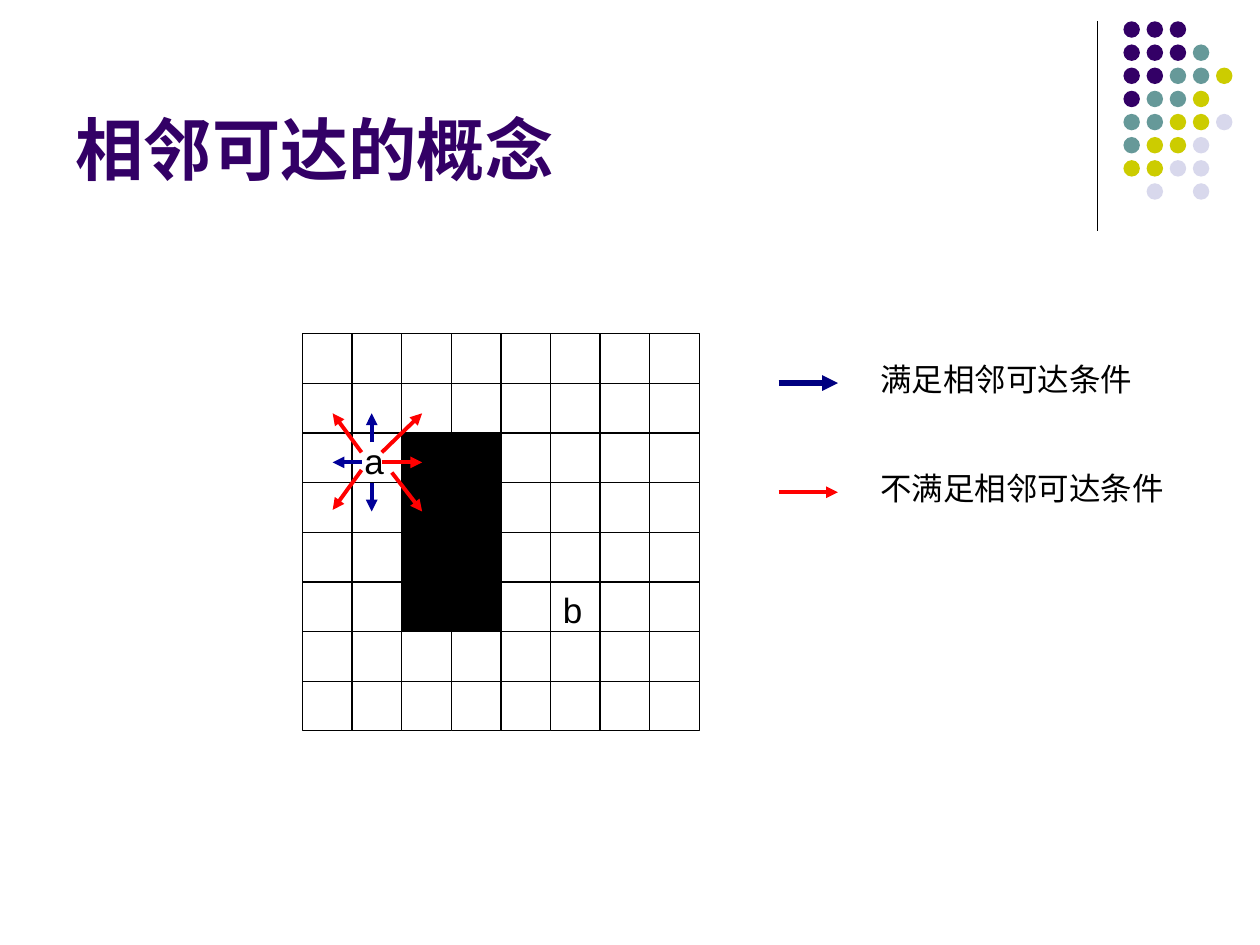
from dataclasses import dataclass
from itertools import product
from typing import NamedTuple

from pptx import Presentation as Deck
from pptx.dml.color import RGBColor as Color
from pptx.enum.shapes import MSO_CONNECTOR as Link, MSO_SHAPE as Form
from pptx.enum.text import MSO_ANCHOR as Anchor, PP_ALIGN as Align
from pptx.oxml.ns import qn
from pptx.util import Pt


@dataclass(frozen=True)
class Theme:
    font: str = "Arial"
    ink: str = "000000"
    paper: str = "FFFFFF"
    plum: str = "330066"
    teal: str = "669999"
    lime: str = "CCCC00"
    mist: str = "D8D8EC"
    blue: str = "000099"
    navy: str = "000080"
    red: str = "FF0000"
    head: float = 39
    mark: float = 20
    note: float = 18
    thin: float = 0.75
    bold: float = 2.25
    thick: float = 3


class Box(NamedTuple):
    left: float
    top: float
    width: float
    height: float


class Arrow(NamedTuple):
    x: float
    y: float
    to_x: float
    to_y: float
    tint: str
    width: float = 2.25


class Label(NamedTuple):
    text: str
    box: Box
    size: float


LOOK = Theme()

# Board: eight by eight square cells
CELL = 28.36
LEFT, TOP, COUNT = 172.8, 190.8, 8

# Corner dots: one letter per colour, a blank for a gap
DOTS = ["ppp", "pppt", "ppttl", "pttl", "ttllm", "tllm", "llmm", " m m"]
TINTS = {"p": LOOK.plum, "t": LOOK.teal, "l": LOOK.lime, "m": LOOK.mist}
DOT, STEP = 9.4, 13.22
DOT_X, DOT_Y = 642, 12.2

FREE = [
    Arrow(212.4, 252.7, 212.4, 236.2, LOOK.blue),
    Arrow(206.6, 264.2, 190.1, 264.2, LOOK.blue),
    Arrow(212.4, 275.8, 212.4, 292.3, LOOK.blue),
]
SHUT = [
    Arrow(206.6, 258.5, 190.1, 236.2, LOOK.red),
    Arrow(206.6, 268.6, 190.1, 291.4, LOOK.red),
    Arrow(218.2, 258.5, 241.2, 236.2, LOOK.red),
    Arrow(223.9, 270, 241.2, 292.3, LOOK.red),
    Arrow(218.2, 264.2, 241.2, 264.2, LOOK.red),
]
KEYS = [
    (Arrow(445, 218.9, 478.8, 218.9, LOOK.navy, LOOK.thick),
     Label("满足相邻可达条件", Box(496, 202.2, 164.2, 28.8), LOOK.note)),
    (Arrow(445, 281.3, 478.8, 281.3, LOOK.red),
     Label("不满足相邻可达条件", Box(496, 264.4, 187.2, 28.8), LOOK.note)),
]


def apply(item, form: dict) -> None:
    for name, value in form.items():
        setattr(item, name, value)


def style(font, size: float, tint: str, bold: bool = False) -> None:
    apply(font, {"name": LOOK.font, "size": Pt(size), "bold": bold})
    font.color.rgb = Color.from_string(tint)


def cell_box(col: int, row: int, wide: int = 1, high: int = 1) -> Box:
    return Box(LEFT + col * CELL, TOP + row * CELL, wide * CELL, high * CELL)


def draw_shape(shapes, form: Form, box: Box, fill: str, edge: str = "") -> None:
    shape = shapes.add_shape(form, *map(Pt, box))
    shape.shadow.inherit = False
    shape.fill.solid()
    shape.fill.fore_color.rgb = Color.from_string(fill)
    if edge:
        shape.line.color.rgb = Color.from_string(edge)
        shape.line.width = Pt(LOOK.thin)
    else:
        shape.line.fill.background()


def draw_line(shapes, line: Arrow, tip: bool = True) -> None:
    link = shapes.add_connector(Link.STRAIGHT, *map(Pt, line[:4]))
    link.line.color.rgb = Color.from_string(line.tint)
    link.line.width = Pt(line.width)
    props = link.element.spPr
    if tip:
        end = props.find(qn("a:ln")).makeelement(qn("a:tailEnd"), {"type": "triangle"})
        props.find(qn("a:ln")).append(end)
    props.append(props.makeelement(qn("a:effectLst"), {}))


def draw_label(shapes, label: Label) -> None:
    frame = shapes.add_textbox(*map(Pt, label.box)).text_frame
    apply(frame, {"text": label.text, "word_wrap": True})
    style(frame.paragraphs[0].font, label.size, LOOK.ink)


def draw_title(slide, text: str) -> None:
    title = slide.shapes.title
    apply(title, {"left": Pt(36), "top": Pt(9.4), "width": Pt(594), "height": Pt(102.2)})
    apply(title.text_frame, {"text": text, "vertical_anchor": Anchor.BOTTOM, "word_wrap": True})
    para = title.text_frame.paragraphs[0]
    para.alignment = Align.LEFT
    style(para.font, LOOK.head, LOOK.plum, True)


def draw_dots(shapes) -> None:
    for row, marks in enumerate(DOTS):
        for col, mark in enumerate(marks):
            if mark in TINTS:
                box = Box(DOT_X + col * STEP, DOT_Y + row * STEP, DOT, DOT)
                draw_shape(shapes, Form.OVAL, box, TINTS[mark])


def draw_board(shapes) -> None:
    for row, col in product(range(COUNT), repeat=2):
        draw_shape(shapes, Form.RECTANGLE, cell_box(col, row), LOOK.paper, LOOK.ink)
    for text, col, row in [("a", 1, 2), ("b", 5, 5)]:
        box = cell_box(col, row)._replace(height=31.7)
        draw_label(shapes, Label(text, box, LOOK.mark))


def main() -> None:
    deck = Deck()
    apply(deck, {"slide_width": Pt(720), "slide_height": Pt(540)})
    slide = deck.slides.add_slide(deck.slide_layouts[5])
    shapes = slide.shapes

    # Heading and corner trim
    draw_line(shapes, Arrow(627, 12, 627, 132, LOOK.ink, LOOK.thin), tip=False)
    draw_dots(shapes.add_group_shape().shapes)
    draw_title(slide, "相邻可达的概念")

    # Board with its wall
    draw_board(shapes.add_group_shape().shapes)
    draw_shape(shapes, Form.RECTANGLE, cell_box(2, 2, 2, 4), LOOK.ink, LOOK.ink)

    # Moves out of cell a
    for moves in (FREE, SHUT):
        group = shapes.add_group_shape().shapes
        for move in moves:
            draw_line(group, move)

    # Key
    for arrow, label in KEYS:
        draw_line(shapes, arrow)
        draw_label(shapes, label)

    deck.save("out.pptx")


if __name__ == "__main__":
    main()
